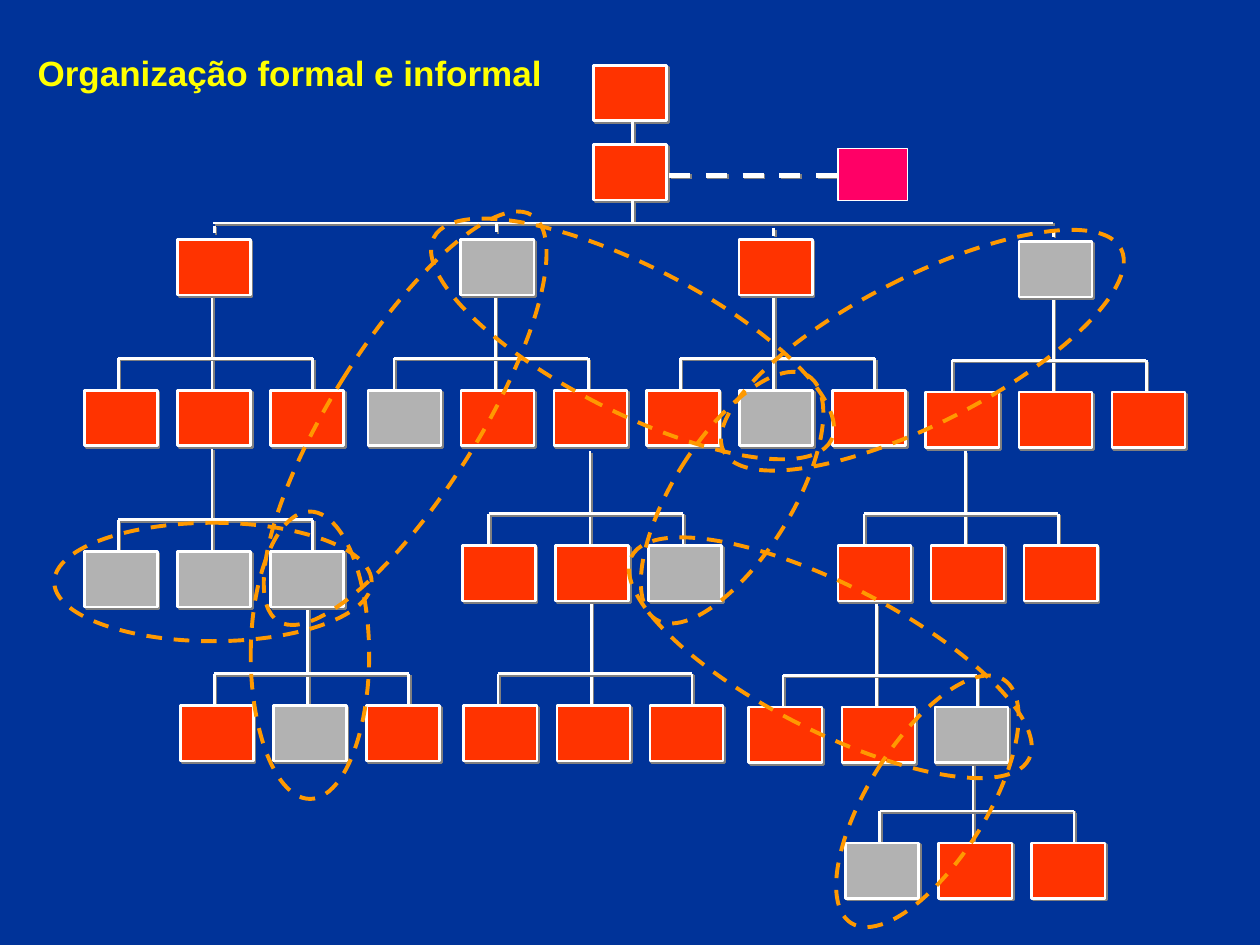
from lxml.etree import SubElement
from pptx import Presentation
from pptx.dml.color import RGBColor
from pptx.enum.dml import MSO_LINE
from pptx.enum.shapes import MSO_CONNECTOR, MSO_SHAPE
from pptx.oxml.ns import qn
from pptx.util import Pt

COLORS = {
    "background": "003399",
    "title": "FFFF00",
    "line": "FFFFFF",
    "shadow": "808080",
    "formal": "FF3300",
    "informal": "B2B2B2",
    "staff": "FF0066",
    "circle": "FF9900",
}
BOX_WIDTH, BOX_HEIGHT = 41.8, 31.7
PITCH = 53.2  # distance between neighbouring boxes
STEM = 72.9  # stem position from the left of a team
BAR_WIDTH, BAR_RISE = 111, 18.2

# Teams from the lowest level up: left, top, members (F formal, I informal),
# inset of the bar, height of the stem
WIDE, NARROW = (15, 54), (19.5, 58.8)
TEAMS = [
    (483.2, 481.7, "IFF", NARROW),
    (103, 403.2, "FIF", NARROW),
    (265, 403.2, "FFF", NARROW),
    (427.9, 404.1, "FFI", NARROW),
    (48.2, 315.2, "III", NARROW),
    (264.2, 311.8, "FFI", WIDE),
    (478.8, 311.8, "FFF", WIDE),
    (48.2, 223, "FFF", NARROW),
    (210.2, 223, "IFF", WIDE),
    (369.3, 223, "FIF", NARROW),
    (529, 224.1, "FFF", WIDE),
]
# Department heads: left, top, kind, centre and top of the short tick
HEADS = [
    (101.3, 136.9, "formal", 122.4, 128.9),
    (263.3, 136.9, "informal", 283.7, 128.2),
    (422.4, 136.9, "formal", 442.1, 130.3),
    (582.2, 138, "informal", 601.9, 131),
]
# Informal groups: left, top, width, height, rotation
CIRCLES = [
    (143.3, 292.3, 67.7, 164.2, 0),
    (189.4, 102.2, 84.2, 273.6, 32),
    (496.1, 375.8, 67.7, 164.2, 32),
    (384.5, 202.3, 67.7, 164.2, 32),
    (319.7, 66.2, 83.5, 254.9, 297),
    (432.7, 248.4, 83.5, 254.9, 297),
    (485.3, 72.7, 83.5, 254.9, 63),
    (87.8, 241.9, 67.7, 181.4, 90),
]


def color(name):
    return RGBColor.from_string(COLORS[name])


def add_shadow(item, visible=True):
    properties = item._element.spPr
    effects = properties.find(qn("a:effectLst"))
    if effects is None:
        effects = SubElement(properties, qn("a:effectLst"))
    if visible:
        shadow = SubElement(effects, qn("a:outerShdw"), blurRad="0",
                            dist=str(Pt(1.4)), dir="2700000",
                            algn="ctr", rotWithShape="0")
        SubElement(shadow, qn("a:srgbClr"), val=COLORS["shadow"])


def add_line(slide, x1, y1, x2, y2, width=1.5, dashed=False):
    connector = slide.shapes.add_connector(
        MSO_CONNECTOR.STRAIGHT, Pt(x1), Pt(y1), Pt(x2), Pt(y2))
    connector.line.color.rgb = color("line")
    connector.line.width = Pt(width)
    if dashed:
        connector.line.dash_style = MSO_LINE.DASH
    add_shadow(connector)


def add_box(slide, left, top, kind, width=BOX_WIDTH, height=BOX_HEIGHT,
            line_width=1.5, shadow=True):
    shape = slide.shapes.add_shape(
        MSO_SHAPE.RECTANGLE, Pt(left), Pt(top), Pt(width), Pt(height))
    shape.fill.solid()
    shape.fill.fore_color.rgb = color(kind)
    shape.line.color.rgb = color("line")
    shape.line.width = Pt(line_width)
    shape.shadow.inherit = False
    add_shadow(shape, shadow)


def add_circle(slide, left, top, width, height, rotation):
    shape = slide.shapes.add_shape(
        MSO_SHAPE.OVAL, Pt(left), Pt(top), Pt(width), Pt(height))
    shape.rotation = rotation
    shape.fill.background()
    shape.line.color.rgb = color("circle")
    shape.line.width = Pt(2.25)
    shape.line.dash_style = MSO_LINE.DASH
    shape.shadow.inherit = False


def add_team(slide, left, top, members, joint):
    """Three boxes hanging from a bar with a stem up to their superior."""
    inset, stem_height = joint
    bar_left, bar_top = left + inset, top - BAR_RISE
    bar_right = bar_left + BAR_WIDTH
    add_line(slide, left + STEM, top - stem_height, left + STEM, top)
    add_line(slide, bar_left, bar_top, bar_right, bar_top)
    for x in (bar_left, bar_right):
        add_line(slide, x, bar_top, x, top + 2)
    for index, member in enumerate(members):
        kind = "formal" if member == "F" else "informal"
        add_box(slide, left + index * PITCH, top, kind)


def add_management(slide, left, top):
    """Two top boxes, their stems and the bar over the departments."""
    stem, step = left + 22.4, 45.2
    for level in range(2):
        box_top = top + level * step
        add_box(slide, left, box_top, "formal")
        add_line(slide, stem, box_top + BOX_HEIGHT, stem, box_top + step)
    bar_top = top + 90
    add_line(slide, 121.7, bar_top, 601.9, bar_top)
    for head_left, head_top, kind, tick, tick_top in HEADS:
        add_line(slide, tick, tick_top, tick, tick_top + 4.3)
        add_box(slide, head_left, head_top, kind)


def add_staff(slide, left, top):
    """Staff box with its dashed link to management."""
    add_line(slide, left - 96.5, top + 15.1, left + 5.8, top + 15.1,
             width=3, dashed=True)
    add_box(slide, left, top, "staff", width=39.6, height=29.5,
            line_width=0.75, shadow=False)


def add_title(slide, left, top, width, height):
    frame = slide.shapes.add_textbox(
        Pt(left), Pt(top), Pt(width), Pt(height)).text_frame
    frame.word_wrap = True
    paragraph = frame.paragraphs[0]
    paragraph.space_before = Pt(12.5)
    run = paragraph.add_run()
    run.text = "Organização formal e informal"
    run.font.name = "Arial"
    run.font.size = Pt(20)
    run.font.bold = True
    run.font.color.rgb = color("title")


def main():
    presentation = Presentation()
    presentation.slide_width, presentation.slide_height = Pt(720), Pt(540)
    slide = presentation.slides.add_slide(presentation.slide_layouts[6])
    slide.background.fill.solid()
    slide.background.fill.fore_color.rgb = color("background")

    # Formal organisation
    for team in TEAMS:
        add_team(slide, *team)
    add_management(slide, 339.1, 37.4)

    # Informal organisation
    for circle in CIRCLES:
        add_circle(slide, *circle)

    add_title(slide, 14.4, 25.9, 317.5, 31)
    add_staff(slide, 478.8, 85)
    presentation.save("out.pptx")


if __name__ == "__main__":
    main()
